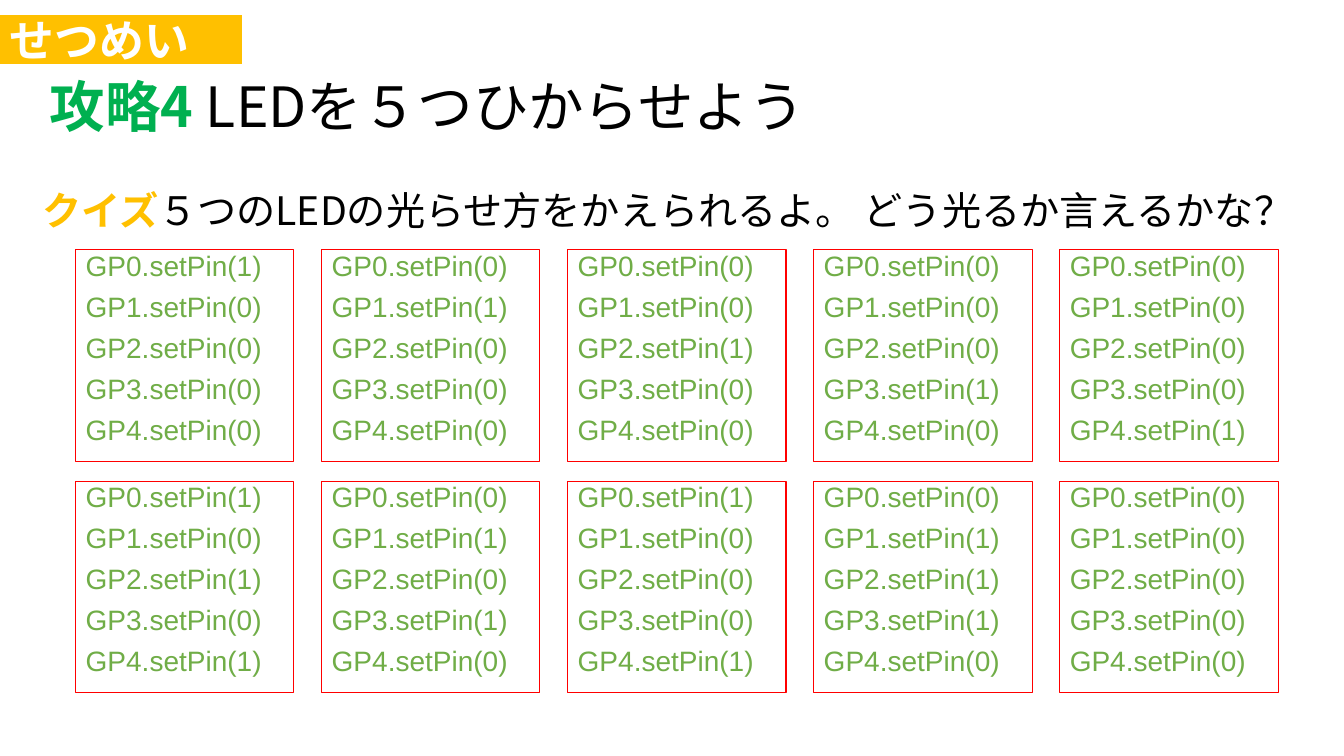
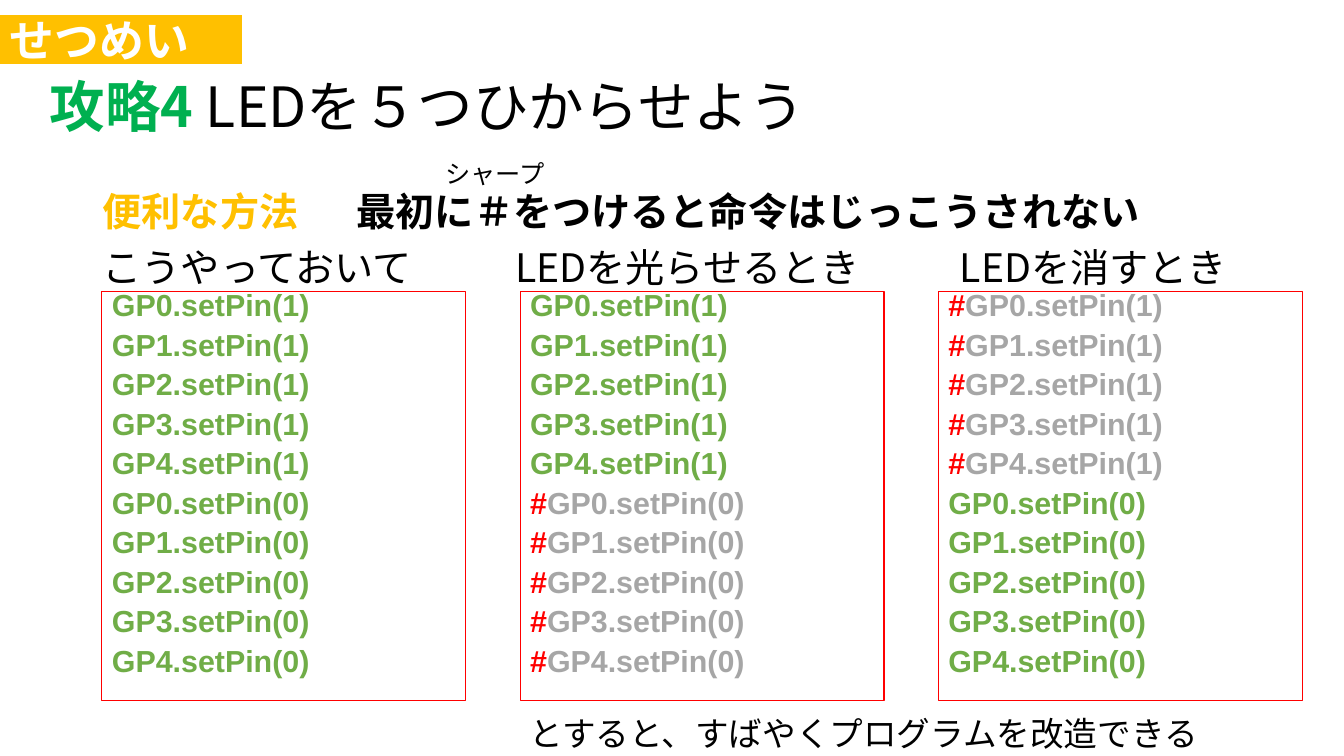
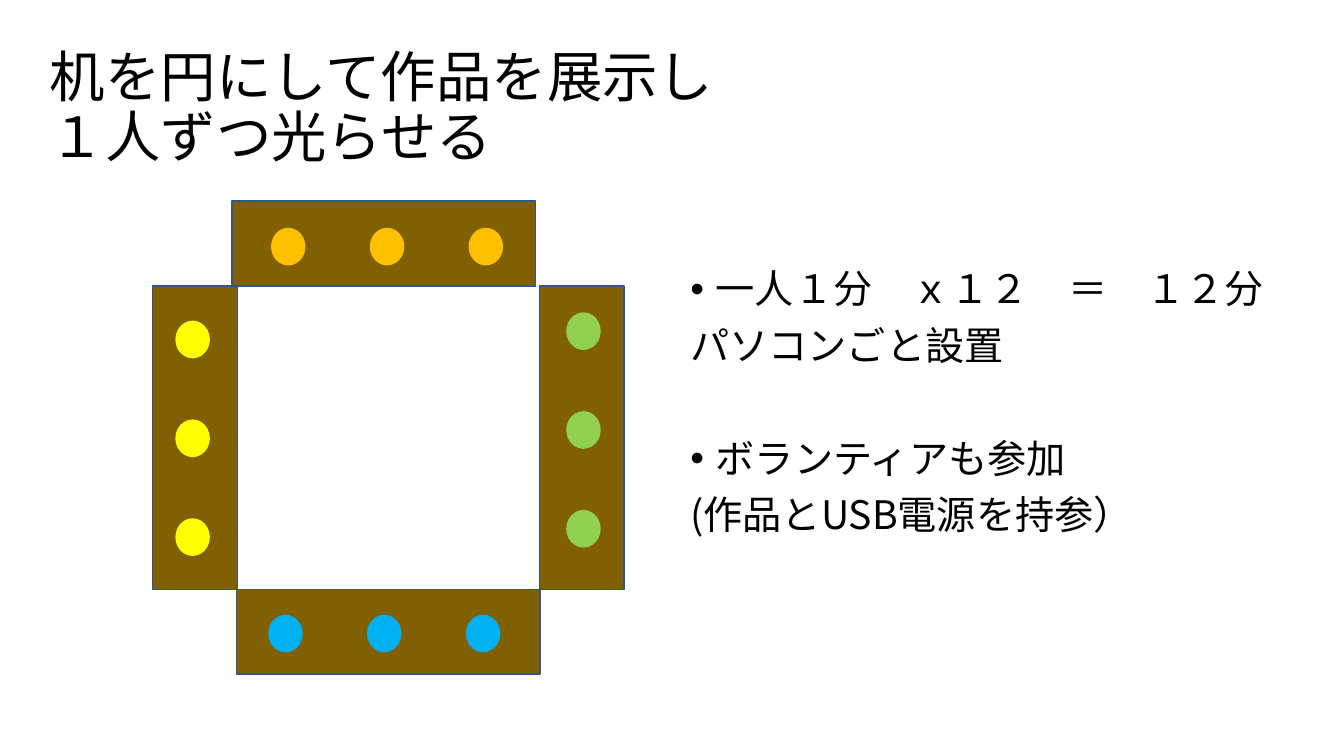
from lxml import etree
from pptx import Presentation
from pptx.dml.color import RGBColor
from pptx.enum import shapes, text
from pptx.oxml.ns import qn
from pptx.util import Cm, Pt

JP, CODE = "Noto Sans CJK JP", "Arial"
BLACK = RGBColor(0x00, 0x00, 0x00)
WHITE = RGBColor(0xFF, 0xFF, 0xFF)
AMBER = RGBColor(0xFF, 0xC0, 0x00)
GREEN = RGBColor(0x00, 0xB0, 0x50)
CODE_GREEN = RGBColor(0x70, 0xAD, 0x47)
GREY = RGBColor(0xA6, 0xA6, 0xA6)
RED = RGBColor(0xFF, 0x00, 0x00)
BROWN = RGBColor(0x80, 0x60, 0x00)
NAVY = RGBColor(0x32, 0x54, 0x91)
YELLOW = RGBColor(0xFF, 0xFF, 0x00)
LIME = RGBColor(0x92, 0xD0, 0x50)
SKY = RGBColor(0x00, 0xB0, 0xF0)

# A line of text is a list of runs: (text, colour, bold).
TAG = [("せつめい", WHITE, True)]
LED_TITLE = [[("攻略4 ", GREEN, True), ("LEDを５つひからせよう", BLACK, False)]]
DESK_TITLE = [[("机を円にして作品を展示し", BLACK, False)],
              [("１人ずつ光らせる", BLACK, False)]]

QUIZ = [("クイズ", AMBER, True),
        ("５つのLEDの光らせ方をかえられるよ。 どう光るか言えるかな？", BLACK, False)]
QUIZ_PINS = [["10000", "01000", "00100", "00010", "00001"],
             ["10101", "01010", "10001", "01110", "00000"]]

TIP = [("便利な方法\t", AMBER, True),
       ("最初に＃をつけると命令はじっこうされない", BLACK, True)]
TIP_HEADINGS = [("こうやっておいて\tLEDを光らせるとき\tLEDを消すとき", BLACK, False)]
TIP_SKIPPED = [None, "0", "1"]  # pin value commented out in each column
TIP_RUBY = [("シャープ", BLACK, False)]
TIP_RESULT = [("とすると、すばやくプログラムを改造できる", BLACK, False)]

# (text, bulleted, space before in points)
DESK_NOTES = [("一人１分　ｘ１２　＝　１２分", True, 0),
              ("パソコンごと設置", False, 10),
              ("ボランティアも参加", True, 50.4),
              ("(作品とUSB電源を持参）", False, 10)]

# Desk left, top, upright; first lamp left, top; lamp colour (cm)
DESK_LONG, DESK_SHORT = 7.65, 2.14
LAMP_W, LAMP_H, LAMP_STEP = 0.87, 0.95, 2.49
DESKS = [(3.84, 7.21, True, 4.42, 8.08, YELLOW),
         (13.59, 7.21, True, 14.27, 7.87, LIME),
         (5.85, 5.07, False, 6.83, 5.74, AMBER),
         (5.96, 14.85, False, 6.76, 15.49, SKY)]


def add_runs(p, runs, size, font=JP):
    for words, color, bold in runs:
        r = p.add_run()
        r.text = words
        r.font.size = Pt(size)
        r.font.bold = bold
        r.font.color.rgb = color
        r.font.name = font
        etree.SubElement(r._r.get_or_add_rPr(), qn("a:ea"), typeface=font)


def add_lines(tf, lines, size, spacing=0.9, font=JP, before=10):
    """Fill a text frame with one left-aligned paragraph per line."""
    tf.word_wrap = True
    for i, runs in enumerate(lines):
        p = tf.paragraphs[0] if i == 0 else tf.add_paragraph()
        p.alignment = text.PP_ALIGN.LEFT
        p.line_spacing = spacing
        p.space_before = Pt(before if i else 0)
        add_runs(p, runs, size, font)


def add_text(slide, box, lines, size, spacing=0.9):
    tf = slide.shapes.add_textbox(*map(Cm, box)).text_frame
    add_lines(tf, lines, size, spacing)
    return tf


def add_shape(slide, kind, box, fill=None, line=None, width=1):
    sp = slide.shapes.add_shape(kind, *map(Cm, box))
    sp.shadow.inherit = False
    if fill is None:
        sp.fill.background()
    else:
        sp.fill.solid()
        sp.fill.fore_color.rgb = fill
    if line is None:
        sp.line.fill.background()
    else:
        sp.line.color.rgb = line
        sp.line.width = Pt(width)
    return sp


def add_code_box(slide, box, lines, size, spacing):
    sp = add_shape(slide, shapes.MSO_SHAPE.RECTANGLE, box, line=RED, width=0.75)
    sp.text_frame.vertical_anchor = text.MSO_ANCHOR.TOP
    add_lines(sp.text_frame, lines, size, spacing, CODE)


def add_slide(prs, title_lines, tagged=True):
    slide = prs.slides.add_slide(prs.slide_layouts[5])
    title = slide.shapes.title
    title.left, title.top, title.width, title.height = map(Cm, (1, 1.83, 26.3, 1.85))
    tf = title.text_frame
    tf.word_wrap = True
    tf.auto_size = text.MSO_AUTO_SIZE.NONE
    tf.vertical_anchor = text.MSO_ANCHOR.MIDDLE
    p = tf.paragraphs[0]
    p.alignment = text.PP_ALIGN.LEFT
    p.line_spacing = 0.9
    p.space_before = Pt(0)
    for i, runs in enumerate(title_lines):
        if i:
            p.add_line_break()
        add_runs(p, runs, 39.6)
    if tagged:
        tag = add_shape(slide, shapes.MSO_SHAPE.RECTANGLE, (0, 0.38, 6.1, 1.23), AMBER)
        tag.text_frame.margin_top = tag.text_frame.margin_bottom = 0
        tag.text_frame.vertical_anchor = text.MSO_ANCHOR.MIDDLE
        add_lines(tag.text_frame, [TAG], 32, 1.0)
    return slide


def set_tabs(p, stops):
    tabs = etree.SubElement(p._p.get_or_add_pPr(), qn("a:tabLst"))
    for stop in stops:
        etree.SubElement(tabs, qn("a:tab"), pos=str(Cm(stop)), algn="l")


def set_bullet(p):
    pPr = p._p.get_or_add_pPr()
    pPr.set("marL", str(Cm(0.64)))
    pPr.set("indent", str(-Cm(0.64)))
    etree.SubElement(pPr, qn("a:buFont"), typeface="Arial")
    etree.SubElement(pPr, qn("a:buChar"), char="•")


def quiz_slide(prs):
    slide = add_slide(prs, LED_TITLE)
    add_text(slide, (0.81, 4.7, 33.06, 1.5), [QUIZ], 28)
    for row, programs in enumerate(QUIZ_PINS):
        for col, pins in enumerate(programs):
            lines = [[(f"GP{i}.setPin({v})", CODE_GREEN, False)]
                     for i, v in enumerate(pins)]
            box = (1.91 + 6.2 * col, 6.3 + 5.83 * row, 5.5, 5.33)
            add_code_box(slide, box, lines, 20, 0.8)


def tip_slide(prs):
    slide = add_slide(prs, LED_TITLE)
    tf = add_text(slide, (2.34, 4.72, 30.5, 3), [TIP, TIP_HEADINGS], 28)
    set_tabs(tf.paragraphs[0], [6.4])
    set_tabs(tf.paragraphs[1], [10.4, 21.6])
    for col, skipped in enumerate(TIP_SKIPPED):
        lines = []
        for value in "10":
            for pin in range(5):
                call = f"GP{pin}.setPin({value})"
                lines.append([("#", RED, True), (call, GREY, True)]
                             if value == skipped else [(call, CODE_GREEN, True)])
        add_code_box(slide, (2.57 + 10.54 * col, 7.34, 9.17, 10.31), lines, 21.7, 0.7)
    add_text(slide, (13.1, 17.83, 20, 1.2), [TIP_RESULT], 24, 1.0)
    add_text(slide, (10.97, 3.86, 5.97, 1.02), [TIP_RUBY], 18, 1.0)


def desk_slide(prs):
    slide = add_slide(prs, DESK_TITLE, tagged=False)
    lines = [[(words, BLACK, False)] for words, _, _ in DESK_NOTES]
    tf = add_text(slide, (17.15, 6.68, 15.2, 10.49), lines, 28)
    for p, (_, bulleted, before) in zip(tf.paragraphs, DESK_NOTES):
        p.space_before = Pt(before)
        if bulleted:
            set_bullet(p)
    for left, top, upright, lamp_x, lamp_y, color in DESKS:
        size = (DESK_SHORT, DESK_LONG) if upright else (DESK_LONG, DESK_SHORT)
        add_shape(slide, shapes.MSO_SHAPE.RECTANGLE, (left, top, *size), BROWN, NAVY)
        dx, dy = (0, LAMP_STEP) if upright else (LAMP_STEP, 0)
        for i in range(3):
            box = (lamp_x + i * dx, lamp_y + i * dy, LAMP_W, LAMP_H)
            add_shape(slide, shapes.MSO_SHAPE.OVAL, box, color)


def main():
    prs = Presentation()
    prs.slide_width, prs.slide_height = Cm(33.87), Cm(19.05)
    quiz_slide(prs)
    tip_slide(prs)
    desk_slide(prs)
    prs.save("out.pptx")


if __name__ == "__main__":
    main()
